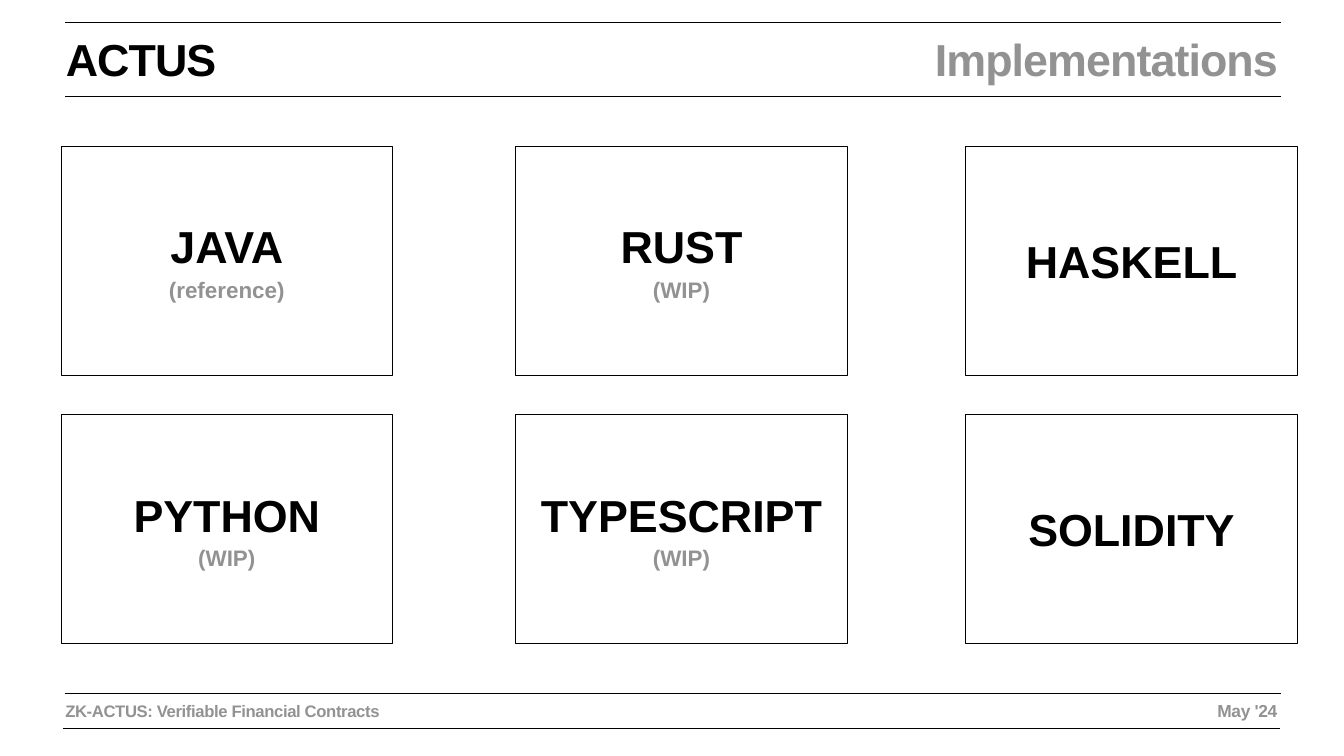
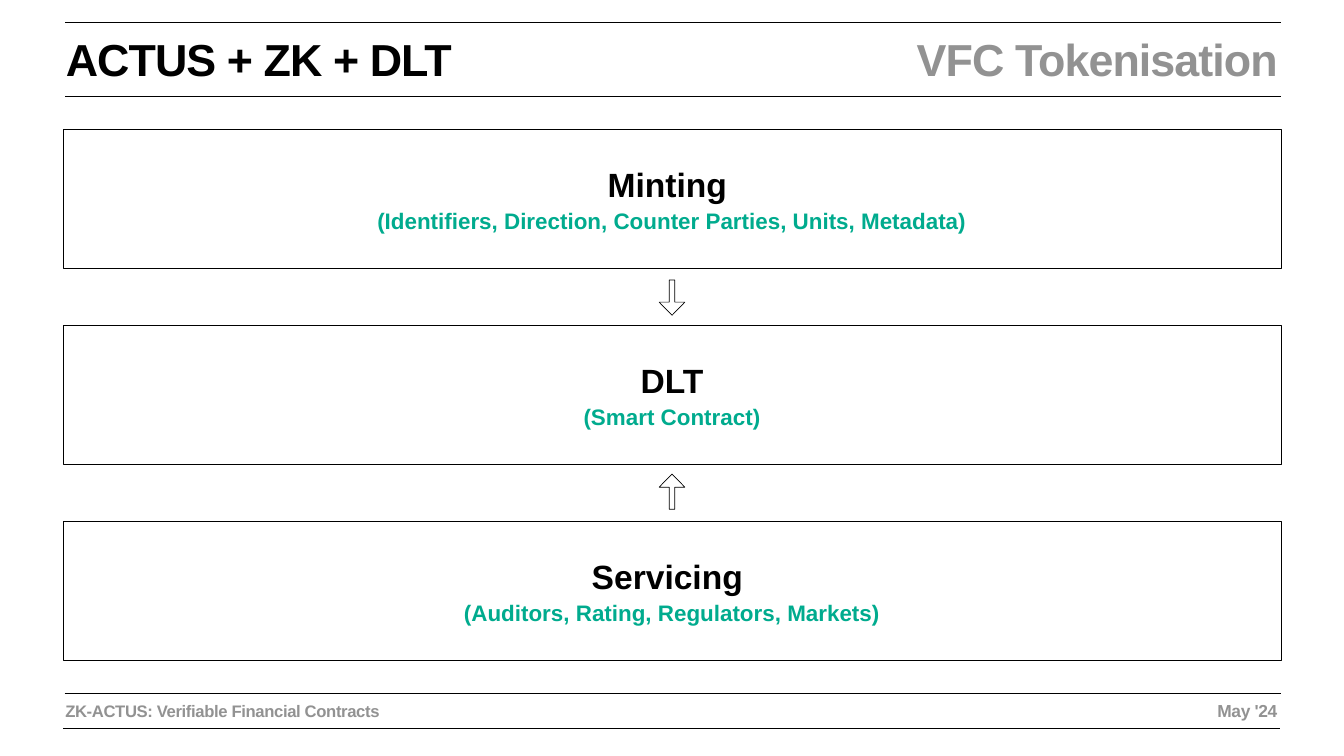
import itertools
from dataclasses import dataclass
from typing import Optional

import lxml.etree
import pptx
import pptx.dml.color
import pptx.enum.shapes
import pptx.enum.text
import pptx.oxml.ns
import pptx.shapes.autoshape
import pptx.shapes.base
import pptx.slide
import pptx.text.text
import pptx.util

Pt = pptx.util.Pt
RGB = pptx.dml.color.RGBColor
ALIGN = pptx.enum.text.PP_ALIGN
ANCHOR = pptx.enum.text.MSO_ANCHOR
SHAPE = pptx.enum.shapes.MSO_SHAPE


@dataclass(frozen=True)
class Theme:
    font: str = "Arial"
    ink: RGB = RGB(0x00, 0x00, 0x00)
    paper: RGB = RGB(0xFF, 0xFF, 0xFF)
    muted: RGB = RGB(0x92, 0x92, 0x92)
    accent: RGB = RGB(0x00, 0xAB, 0x8E)
    title: float = 64
    stage: float = 48
    caption: float = 32
    footer: float = 23.8
    date: float = 24.8
    title_spacing: float = -1.3
    footer_spacing: float = -0.5
    line: float = 1
    inset: float = 4
    caption_gap: float = 4


THEME = Theme()


@dataclass(frozen=True)
class Area:
    left: float
    top: float
    width: float
    height: float


@dataclass(frozen=True)
class Style:
    size: float
    color: RGB
    align: ALIGN = ALIGN.CENTER
    spacing: float = 0


@dataclass(frozen=True)
class Card:
    heading: str
    caption: Optional[str] = None


@dataclass(frozen=True)
class Rule:
    left: float
    y: float


@dataclass(frozen=True)
class Arrow:
    center_y: float
    rotation: float


RULE_WIDTH = 1737.4
RULES = (Rule(92.9, 138.2), Rule(92.9, 32.4), Rule(90.7, 1041.1), Rule(92.2, 990))

TITLE_AREA = Area(90, 41, 795, 87.8)
SUBTITLE_AREA = Area(629.3, 41, 1200.2, 87.8)
FOOTER_AREA = Area(89.3, 996.5, 795, 37.4)
DATE_AREA = Area(984.2, 996.5, 844.6, 38.2)

TITLE = Style(THEME.title, THEME.ink, ALIGN.LEFT, THEME.title_spacing)
SUBTITLE = Style(THEME.title, THEME.muted, ALIGN.RIGHT, THEME.title_spacing)
FOOTER = Style(THEME.footer, THEME.muted, ALIGN.LEFT, THEME.footer_spacing)
DATE = Style(THEME.date, THEME.muted, ALIGN.RIGHT, THEME.footer_spacing)
LANGUAGE = Style(THEME.title, THEME.ink)
LANGUAGE_STATUS = Style(THEME.caption, THEME.muted)
STAGE = Style(THEME.stage, THEME.ink)
STAGE_DETAIL = Style(THEME.caption, THEME.accent)

LANGUAGE_LEFTS = (87.1, 736.6, 1379.5)
LANGUAGE_TOPS = (209.5, 592.6)
LANGUAGES = (
    Card("JAVA", "(reference)"),
    Card("RUST", "(WIP)"),
    Card("HASKELL"),
    Card("PYTHON", "(WIP)"),
    Card("TYPESCRIPT", "(WIP)"),
    Card("SOLIDITY"),
)

STAGE_TOP = 184.3
STAGE_PITCH = 280.1
STAGES = (
    Card("Minting ", "(Identifiers, Direction, Counter Parties, Units, Metadata)"),
    Card("DLT", "(Smart Contract)"),
    Card("Servicing ", "(Auditors, Rating, Regulators, Markets)"),
)
ARROW_CENTER_X = 960
ARROW_LENGTH = 50.4
ARROW_BREADTH = 36.7
ARROWS = (Arrow(425.2, 90), Arrow(702.4, 270))


def format_paragraph(p: pptx.text.text._Paragraph, style: Style) -> None:
    p.alignment = style.align
    for r in p.runs:
        r.font.name = THEME.font
        r.font.size = Pt(style.size)
        r.font.bold = True
        r.font.color.rgb = style.color
        if style.spacing:
            r._r.get_or_add_rPr().set("spc", str(round(style.spacing * 100)))


def prepare_frame(tf: pptx.text.text.TextFrame, anchor: ANCHOR) -> None:
    tf.word_wrap = True
    tf.auto_size = pptx.enum.text.MSO_AUTO_SIZE.NONE
    tf.vertical_anchor = anchor
    tf.margin_left = tf.margin_right = Pt(THEME.inset)
    tf.margin_top = tf.margin_bottom = Pt(THEME.inset)


def place(sp: pptx.shapes.base.BaseShape, area: Area) -> None:
    sp.left, sp.top = Pt(area.left), Pt(area.top)
    sp.width, sp.height = Pt(area.width), Pt(area.height)


def write_label(sp: pptx.shapes.base.BaseShape, text: str, style: Style) -> None:
    tf = sp.text_frame
    prepare_frame(tf, ANCHOR.TOP)
    tf.text = text
    format_paragraph(tf.paragraphs[0], style)


def add_label(s: pptx.slide.Slide, area: Area, text: str, style: Style) -> None:
    sp = s.shapes.add_textbox(0, 0, 0, 0)
    place(sp, area)
    write_label(sp, text, style)


def add_rule(s: pptx.slide.Slide, rule: Rule) -> None:
    sp = s.shapes.add_connector(
        pptx.enum.shapes.MSO_CONNECTOR.STRAIGHT,
        Pt(rule.left), Pt(rule.y), Pt(rule.left + RULE_WIDTH), Pt(rule.y),
    )
    sp.line.color.rgb = THEME.ink
    sp.line.width = Pt(THEME.line)
    lxml.etree.SubElement(sp._element.spPr, pptx.oxml.ns.qn("a:effectLst"))


def add_outlined(
    s: pptx.slide.Slide, kind: SHAPE, area: Area
) -> pptx.shapes.autoshape.Shape:
    sp = s.shapes.add_shape(kind, 0, 0, 0, 0)
    place(sp, area)
    sp.shadow.inherit = False
    sp.fill.solid()
    sp.fill.fore_color.rgb = THEME.paper
    sp.line.color.rgb = THEME.ink
    sp.line.width = Pt(THEME.line)
    return sp


def add_card(
    s: pptx.slide.Slide, area: Area, card: Card, heading: Style, caption: Style
) -> None:
    tf = add_outlined(s, SHAPE.RECTANGLE, area).text_frame
    prepare_frame(tf, ANCHOR.MIDDLE)
    tf.text = card.heading
    format_paragraph(tf.paragraphs[0], heading)
    if card.caption:
        p = tf.add_paragraph()
        p.text = card.caption
        p.space_before = Pt(THEME.caption_gap)
        format_paragraph(p, caption)


def add_arrow(s: pptx.slide.Slide, arrow: Arrow) -> None:
    area = Area(
        ARROW_CENTER_X - ARROW_LENGTH / 2,
        arrow.center_y - ARROW_BREADTH / 2,
        ARROW_LENGTH,
        ARROW_BREADTH,
    )
    sp = add_outlined(s, SHAPE.RIGHT_ARROW, area)
    sp.adjustments[0] = 0.22
    sp.adjustments[1] = 0.51
    sp.rotation = arrow.rotation


def add_framed_slide(
    prs: pptx.presentation.Presentation, title: str, subtitle: str
) -> pptx.slide.Slide:
    s = prs.slides.add_slide(prs.slide_layouts.get_by_name("Title Only"))
    for rule in RULES:
        add_rule(s, rule)
    place(s.shapes.title, TITLE_AREA)
    write_label(s.shapes.title, title, TITLE)
    add_label(s, SUBTITLE_AREA, subtitle, SUBTITLE)
    add_label(s, FOOTER_AREA, "ZK-ACTUS: Verifiable Financial Contracts", FOOTER)
    add_label(s, DATE_AREA, "May '24", DATE)
    return s


def build_implementations(prs: pptx.presentation.Presentation) -> None:
    s = add_framed_slide(prs, "ACTUS", "Implementations")
    cells = itertools.product(LANGUAGE_TOPS, LANGUAGE_LEFTS)
    for (top, left), card in zip(cells, LANGUAGES):
        add_card(s, Area(left, top, 473.8, 326.2), card, LANGUAGE, LANGUAGE_STATUS)


def build_tokenisation(prs: pptx.presentation.Presentation) -> None:
    s = add_framed_slide(prs, "ACTUS + ZK + DLT", "VFC Tokenisation")
    for row, card in enumerate(STAGES):
        area = Area(90, STAGE_TOP + row * STAGE_PITCH, 1740, 198.7)
        add_card(s, area, card, STAGE, STAGE_DETAIL)
    for arrow in ARROWS:
        add_arrow(s, arrow)


def main() -> None:
    prs = pptx.Presentation()
    prs.slide_width, prs.slide_height = Pt(1920), Pt(1080)
    build_implementations(prs)
    build_tokenisation(prs)
    prs.save("out.pptx")


if __name__ == "__main__":
    main()
